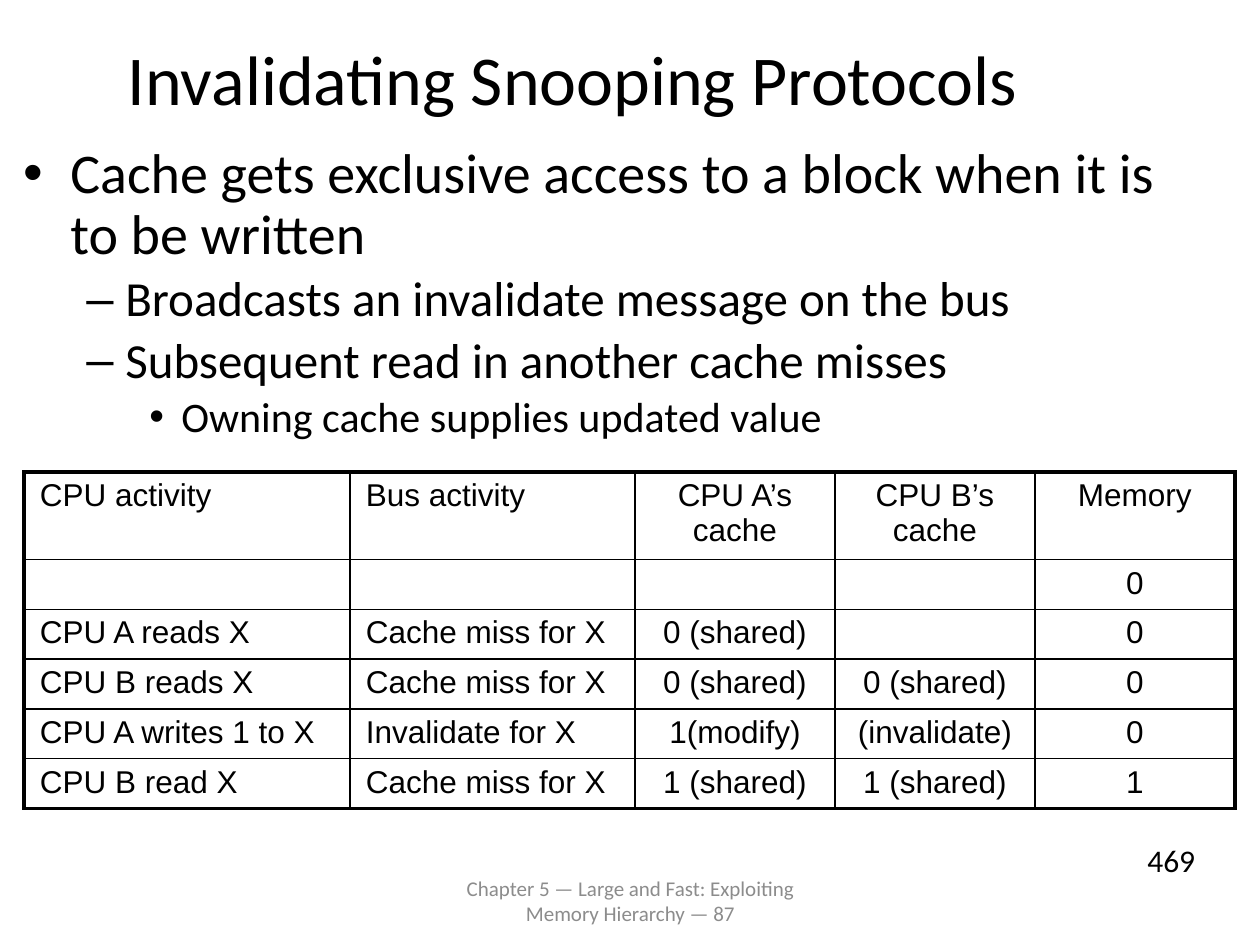
from pptx import Presentation
from pptx.dml.color import RGBColor
from pptx.enum.text import MSO_ANCHOR, PP_ALIGN
from pptx.oxml.ns import qn
from pptx.util import Pt
from lxml.etree import SubElement

EMU_PER_PX = 914400 / 126
COLORS = {"ink": "000000", "footer": "8C8C8C"}
LEVELS = [
    dict(size=32, bullet="•", margin=47, indent=-47),
    dict(size=28, bullet="–", margin=102, indent=-39),
    dict(size=24, bullet="•", margin=158, indent=-32),
]
POINTS = [
    (0, "Cache gets exclusive access to a block when it is to be written"),
    (1, "Broadcasts an invalidate message on the bus"),
    (1, "Subsequent read in another cache misses"),
    (2, "Owning cache supplies updated value"),
]
COLUMN_WIDTHS = [326, 285, 200, 200, 200]
ROW_HEIGHTS = [57] + [47] * 5
BUS_STATES = [
    ["CPU activity", "Bus activity", "CPU A’s cache", "CPU B’s cache", "Memory"],
    ["", "", "", "", "0"],
    ["CPU A reads X", "Cache miss for X", "0 (shared)", "", "0"],
    ["CPU B reads X", "Cache miss for X", "0 (shared)", "0 (shared)", "0"],
    ["CPU A writes 1 to X", "Invalidate for X", "1(modify)", "(invalidate)", "0"],
    ["CPU B read X", "Cache miss for X", "1 (shared)", "1 (shared)", "1"],
]


def px(n):
    return round(n * EMU_PER_PX)


def write(p, text, size=18, font="Calibri", color="ink", align=PP_ALIGN.LEFT,
          bullet=None, margin=0, indent=0, spacing=None, before=0):
    p.alignment = align
    p.space_before = Pt(before)
    if spacing:
        p.line_spacing = spacing
    if bullet:
        pPr = p._p.get_or_add_pPr()
        pPr.set("marL", str(px(margin)))
        pPr.set("indent", str(px(indent)))
        SubElement(pPr, qn("a:buFont"), typeface="Arial")
        SubElement(pPr, qn("a:buChar"), char=bullet)
    if text:
        r = p.add_run()
        r.text = text
        r.font.size = Pt(size)
        r.font.name = font
        r.font.color.rgb = RGBColor.from_string(COLORS[color])


class Deck:
    thin, thick = 1, 2.25

    def __init__(self, width, height):
        self.prs = Presentation()
        self.prs.slide_width, self.prs.slide_height = px(width), px(height)
        self.s = self.prs.slides.add_slide(self.prs.slide_layouts[6])

    def box(self, x, y, w, h, anchor=MSO_ANCHOR.TOP, wrap=True):
        tf = self.s.shapes.add_textbox(px(x), px(y), px(w), px(h)).text_frame
        tf.word_wrap = wrap
        tf.vertical_anchor = anchor
        return tf

    def label(self, text, x, y, w, h, anchor=MSO_ANCHOR.TOP, wrap=True, **fmt):
        write(self.box(x, y, w, h, anchor, wrap).paragraphs[0], text, **fmt)

    def bullets(self, points, x, y, w, h):
        tf = self.box(x, y, w, h)
        for i, (level, text) in enumerate(points):
            p = tf.add_paragraph() if i else tf.paragraphs[0]
            p.level = level
            style = LEVELS[level]
            before = round(style["size"] * 0.17, 1) if i else 0
            write(p, text, spacing=0.9, before=before, **style)

    def border(self, cell, side, width):
        ln = SubElement(cell._tc.get_or_add_tcPr(), qn(f"a:ln{side}"), w=str(Pt(width)))
        SubElement(SubElement(ln, qn("a:solidFill")), qn("a:srgbClr"), val=COLORS["ink"])

    def table(self, rows, x, y, widths, heights):
        tbl = self.s.shapes.add_table(len(rows), len(widths), px(x), px(y),
                                      px(sum(widths)), px(sum(heights))).table
        tbl.first_row = tbl.horz_banding = False
        for column, width in zip(tbl.columns, widths):
            column.width = px(width)
        for row, height in zip(tbl.rows, heights):
            row.height = px(height)
        for i, texts in enumerate(rows):
            for j, text in enumerate(texts):
                cell = tbl.cell(i, j)
                cell.margin_left = cell.margin_right = px(16)
                cell.margin_top = cell.margin_bottom = px(6)
                outer = {"L": j == 0, "R": j == len(widths) - 1,
                         "T": i == 0, "B": i == len(rows) - 1}
                for side, is_outer in outer.items():
                    self.border(cell, side, self.thick if is_outer else self.thin)
                cell.fill.background()
                align = PP_ALIGN.LEFT if j < 2 else PP_ALIGN.CENTER
                write(cell.text_frame.paragraphs[0], text, font="Arial", align=align)


def main():
    deck = Deck(1260, 945)
    deck.label("Invalidating Snooping Protocols", 35, 29, 1075, 97,
               anchor=MSO_ANCHOR.MIDDLE, size=40, align=PP_ALIGN.CENTER)
    deck.bullets(POINTS, 11, 139, 1194, 328)
    deck.label("Chapter 5 — Large and Fast: Exploiting Memory Hierarchy — 87",
               431, 876, 399, 50, anchor=MSO_ANCHOR.MIDDLE, size=12,
               color="footer", align=PP_ALIGN.CENTER)
    deck.table(BUS_STATES, 24, 472, COLUMN_WIDTHS, ROW_HEIGHTS)
    deck.label("469", 1135, 835, 74, 50, wrap=False)
    deck.prs.save("out.pptx")


if __name__ == "__main__":
    main()
